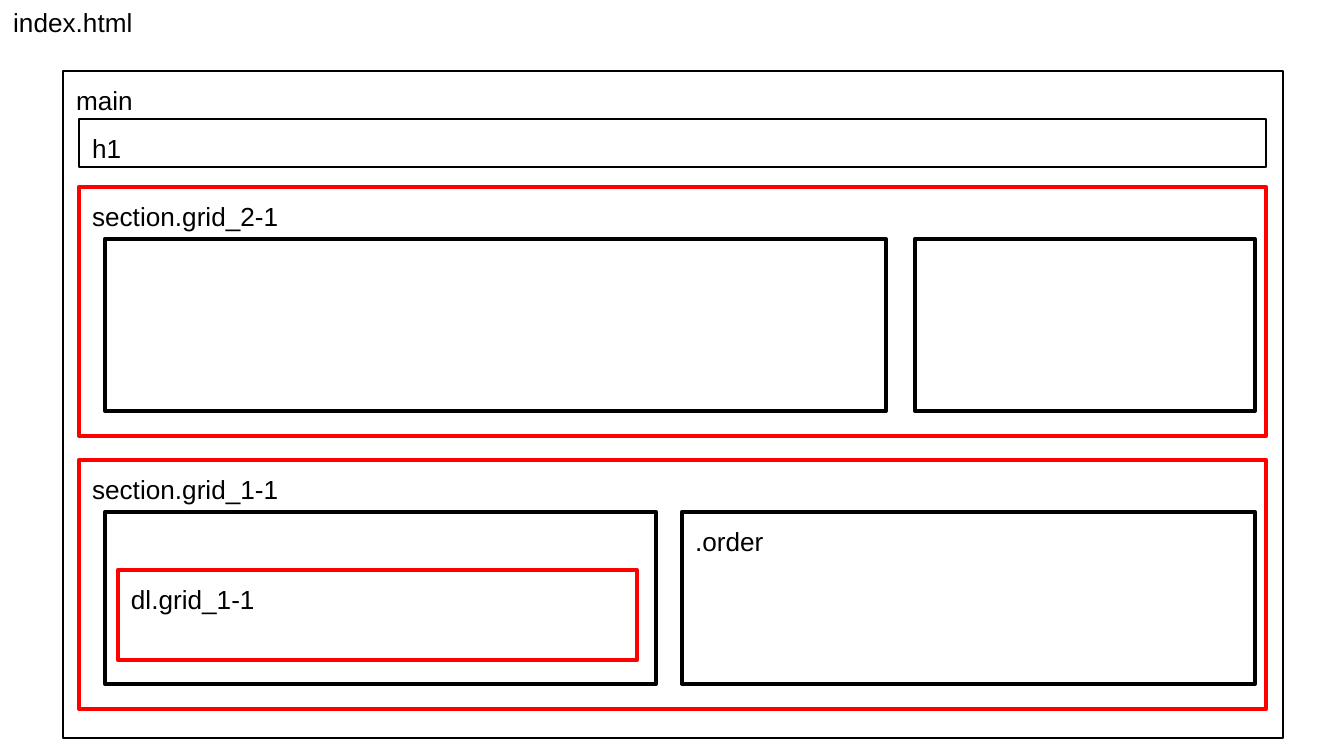
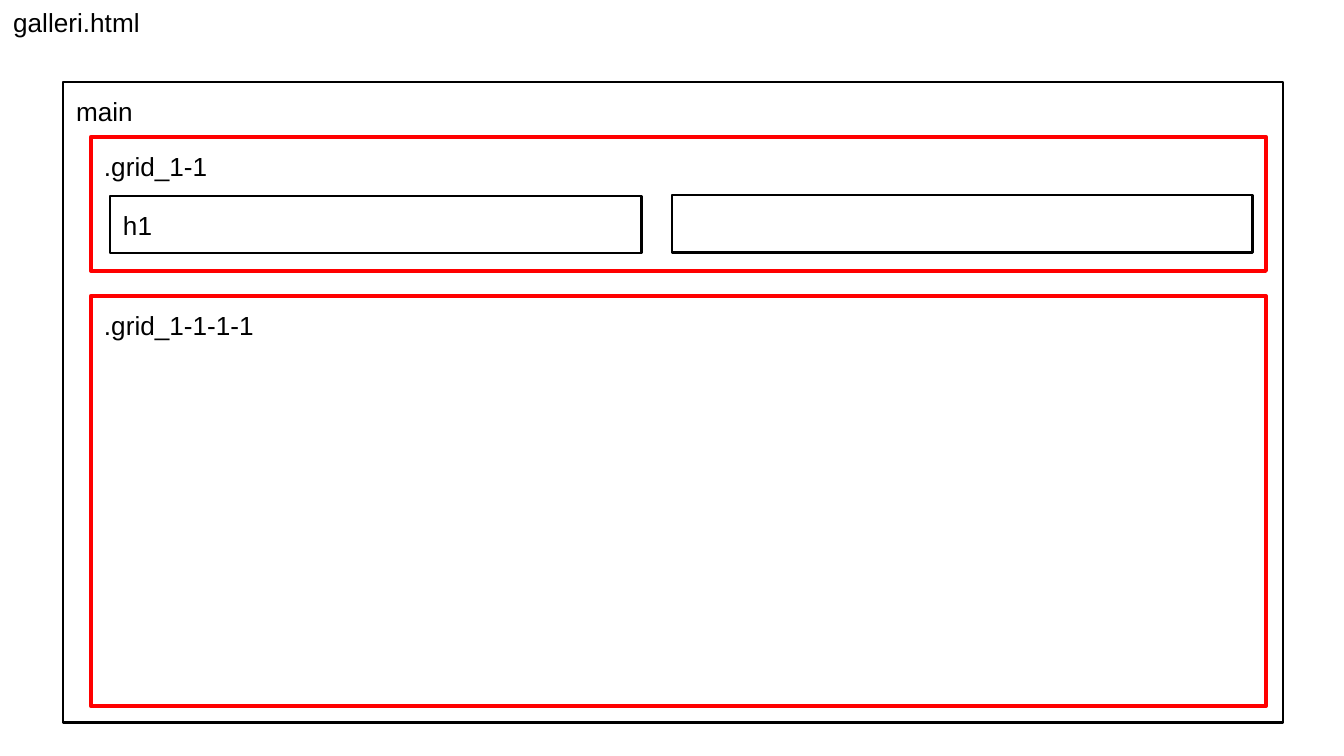
from pptx import Presentation
from pptx.dml.color import RGBColor
from pptx.enum.shapes import MSO_SHAPE
from pptx.enum.text import MSO_ANCHOR, MSO_AUTO_SIZE, PP_ALIGN
from pptx.util import Emu, Pt

PX_PER_INCH = 134.4
BLACK = "000000"
RED = "FF0000"
FONT = "Arial"
THIN = 1.5
THICK = 2.25
INSET = 13
MAIN_LEFT, MAIN_WIDTH = 63, 1220
COLUMN_DROP, COLUMN_HEIGHT = 52, 172


def px(length):
    """Turn whole pixels into EMU."""
    return Emu(round(length * 914400 / PX_PER_INCH))


def color(value):
    """Turn a hex string into a colour."""
    return RGBColor.from_string(value)


def write(frame, text, size=14, fill=BLACK, align=PP_ALIGN.LEFT):
    """Write one formatted paragraph into a text frame."""
    para = frame.paragraphs[0]
    para.alignment = align
    span = para.add_run()
    span.text = text
    span.font.name = FONT
    span.font.size = Pt(size)
    span.font.color.rgb = color(fill)


def add_page(deck, file_name):
    """Add a blank page headed by its file name."""
    page = deck.slides.add_slide(deck.slide_layouts[6])
    box = page.shapes.add_textbox(0, 0, px(271), px(46))
    box.text_frame.word_wrap = True
    box.text_frame.auto_size = MSO_AUTO_SIZE.SHAPE_TO_FIT_TEXT
    write(box.text_frame, file_name)
    return page


def add_block(page, left, top, width, height, label="", line=BLACK, weight=THIN):
    """Add an outlined layout block with an optional label in its top left corner."""
    box = page.shapes.add_shape(
        MSO_SHAPE.RECTANGLE, px(left), px(top), px(width), px(height)
    )
    box.shadow.inherit = False
    box.fill.background()
    box.line.color.rgb = color(line)
    box.line.width = Pt(weight)
    if label:
        frame = box.text_frame
        frame.word_wrap = True
        frame.vertical_anchor = MSO_ANCHOR.TOP
        frame.margin_left = frame.margin_right = px(INSET)
        frame.margin_top = frame.margin_bottom = px(INSET)
        write(frame, label)


def add_grid(page, left, top, width, height, label):
    """Add a red grid container."""
    add_block(page, left, top, width, height, label, line=RED, weight=THICK)


def add_section(page, top, label, columns):
    """Add a grid section of the index page with its columns."""
    add_grid(page, 79, top, 1187, 249, label)
    for left, width, name in columns:
        add_block(
            page, left, top + COLUMN_DROP, width, COLUMN_HEIGHT, name, weight=THICK
        )


def build_index(deck):
    """Build the layout of the index page."""
    page = add_page(deck, "index.html")
    add_block(page, MAIN_LEFT, 71, MAIN_WIDTH, 667, "main")
    add_block(page, 79, 119, 1187, 48, "h1")
    add_section(page, 187, "section.grid_2-1", [(105, 781, ""), (915, 340, "")])
    add_section(page, 460, "section.grid_1-1", [(105, 551, ""), (682, 573, ".order")])
    add_grid(page, 118, 570, 519, 90, "dl.grid_1-1")


def build_gallery(deck):
    """Build the layout of the gallery page."""
    page = add_page(deck, "galleri.html")
    add_block(page, MAIN_LEFT, 82, MAIN_WIDTH, 641, "main")
    add_grid(page, 91, 137, 1175, 134, ".grid_1-1")
    add_block(page, 110, 196, 532, 57, "h1")
    add_block(page, 672, 195, 581, 58)
    add_grid(page, 91, 296, 1175, 410, ".grid_1-1-1-1")


def main():
    """Build and save the deck."""
    deck = Presentation()
    deck.slide_width = px(1344)
    deck.slide_height = px(756)
    build_index(deck)
    build_gallery(deck)
    deck.save("out.pptx")


if __name__ == "__main__":
    main()
